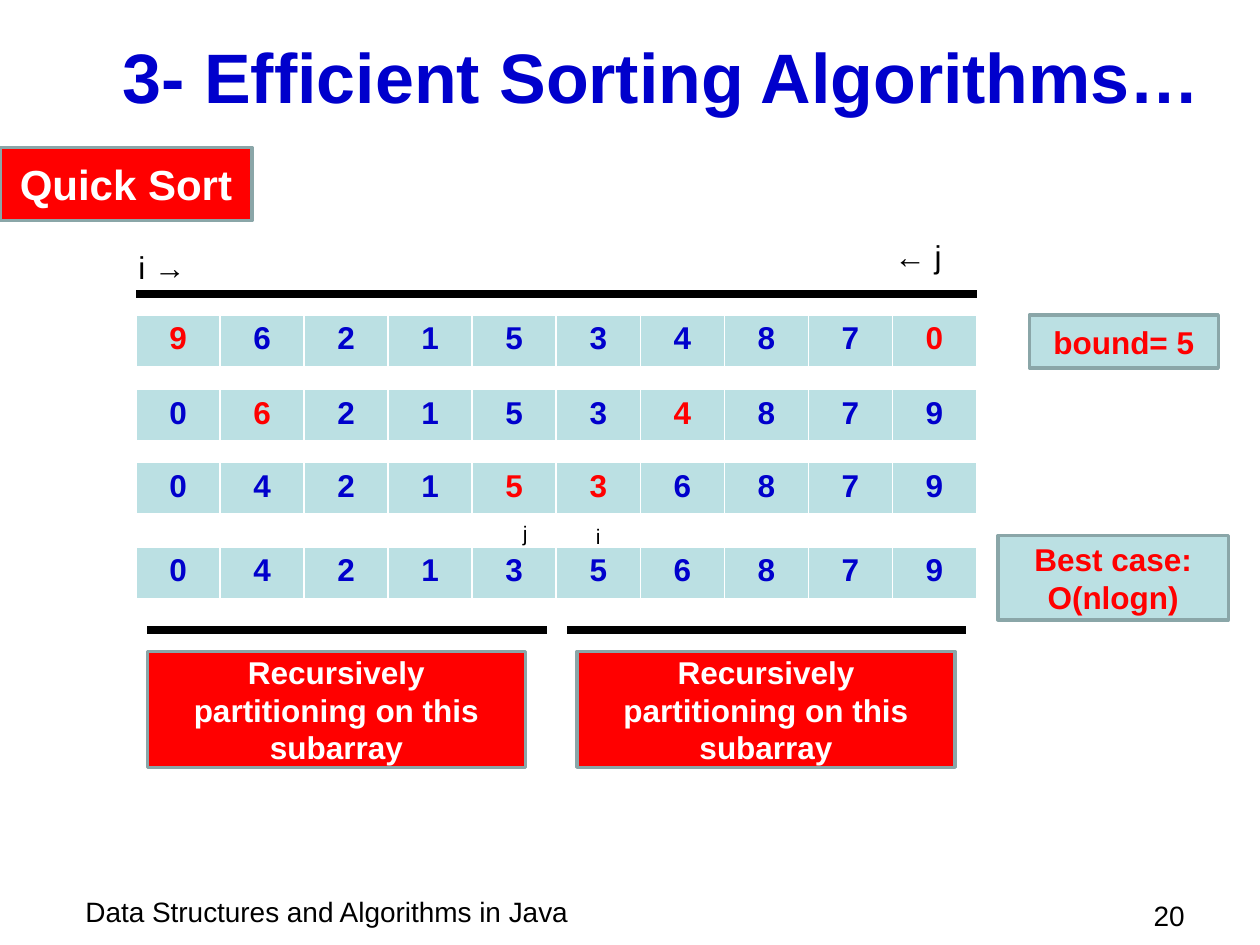
import pptx
import pptx.dml.color
import pptx.enum.shapes
import pptx.enum.text
import pptx.oxml.ns
import pptx.util
from lxml import etree
from pptx.util import Inches

ALIGN = pptx.enum.text.PP_ALIGN
ANCHOR = pptx.enum.text.MSO_ANCHOR

BLUE = "0000CC"
RED = "FF0000"
WHITE = "FFFFFF"
BLACK = "000000"
PALE_TEAL = "BBE0E3"
GREY_TEAL = "8AA6A8"

ARRAY_LEFT = 1.08
ARRAY_WIDTH = 6.67
ROW_HEIGHT = 0.41

# Top, values in the array, and indexes of the elements to swap next.
SORT_STEPS = [
    (2.5, "9621534870", (0, 9)),
    (3.09, "0621534879", (1, 6)),
    (3.67, "0421536879", (4, 5)),
    (4.34, "0421356879", ()),
]


def color(hex_string):
    return pptx.dml.color.RGBColor.from_string(hex_string)


def write_text(text_frame, text, size=18, hex_color=BLACK, bold=False,
               align=ALIGN.LEFT):
    paragraph = text_frame.paragraphs[0]
    paragraph.alignment = align
    run = paragraph.add_run()
    run.text = text
    run.font.name = "Arial"
    run.font.size = pptx.util.Pt(size)
    run.font.bold = bold
    run.font.color.rgb = color(hex_color)


def add_title(slide, text):
    title = slide.shapes.title
    title.left, title.top = Inches(0.5), Inches(0.25)
    title.width, title.height = Inches(9.5), Inches(0.7)
    title.text_frame.vertical_anchor = ANCHOR.MIDDLE
    title.text_frame.auto_size = pptx.enum.text.MSO_AUTO_SIZE.NONE
    write_text(title.text_frame, text, size=40, hex_color=BLUE, bold=True,
               align=ALIGN.CENTER)


def add_label(slide, text, left, top, width, height, indent=0.1, **text_format):
    label = slide.shapes.add_textbox(
        Inches(left), Inches(top), Inches(width), Inches(height))
    label.text_frame.word_wrap = True
    label.text_frame.margin_left = Inches(indent)
    write_text(label.text_frame, text, **text_format)


def add_box(slide, text, left, top, width, height, fill, hex_color, size=18):
    box = slide.shapes.add_shape(
        pptx.enum.shapes.MSO_SHAPE.RECTANGLE,
        Inches(left), Inches(top), Inches(width), Inches(height))
    box.shadow.inherit = False
    box.fill.solid()
    box.fill.fore_color.rgb = color(fill)
    box.line.color.rgb = color(GREY_TEAL)
    box.line.width = pptx.util.Pt(2)
    box.text_frame.word_wrap = True
    box.text_frame.vertical_anchor = ANCHOR.MIDDLE
    write_text(box.text_frame, text, size=size, hex_color=hex_color, bold=True,
               align=ALIGN.CENTER)


def add_bar(slide, left, right, y):
    bar = slide.shapes.add_connector(
        pptx.enum.shapes.MSO_CONNECTOR.STRAIGHT,
        Inches(left), Inches(y), Inches(right), Inches(y))
    bar.line.color.rgb = color(BLACK)
    bar.line.width = pptx.util.Pt(4.5)
    etree.SubElement(bar.element.spPr, pptx.oxml.ns.qn("a:effectLst"))


def add_array(slide, top, values, swapped):
    """Draw one state of the array, with the swapped elements in red."""
    table = slide.shapes.add_table(
        1, len(values), Inches(ARRAY_LEFT), Inches(top),
        Inches(ARRAY_WIDTH), Inches(ROW_HEIGHT)).table
    for index, value in enumerate(values):
        cell = table.cell(0, index)
        cell.fill.solid()
        cell.fill.fore_color.rgb = color(PALE_TEAL)
        write_text(cell.text_frame, value, bold=True, align=ALIGN.CENTER,
                   hex_color=RED if index in swapped else BLUE)


def main():
    presentation = pptx.Presentation()
    presentation.slide_width = Inches(10)
    presentation.slide_height = Inches(7.5)
    slide = presentation.slides.add_slide(presentation.slide_layouts[5])

    add_label(slide, "Data Structures and Algorithms in Java",
              0.58, 7.05, 5.67, 0.37, size=16)
    add_title(slide, "3- Efficient Sorting Algorithms…")
    add_label(slide, "20", 8.75, 7.08, 0.75, 0.33, size=16, align=ALIGN.RIGHT)
    add_box(slide, "Quick Sort", 0, 1.17, 2, 0.58, RED, WHITE, size=24)

    for top, values, swapped in SORT_STEPS:
        add_array(slide, top, values, swapped)
    add_box(slide, "bound= 5", 8.17, 2.5, 1.5, 0.42, PALE_TEAL, RED)
    add_box(slide, "Best case: O(nlogn)", 7.92, 4.25, 1.83, 0.67, PALE_TEAL, RED)

    add_bar(slide, ARRAY_LEFT, ARRAY_LEFT + ARRAY_WIDTH, 2.33)
    for bar_left, box_left in ((1.17, 1.17), (4.5, 4.58)):
        add_bar(slide, bar_left, bar_left + 3.17, 5)
        add_box(slide, "Recursively partitioning on this subarray",
                box_left, 5.17, 3, 0.92, RED, WHITE)

    add_label(slide, "i →", 1, 1.92, 0.58, 0.4)
    add_label(slide, "← j", 7, 1.83, 0.67, 0.4)
    add_label(slide, "j", 4, 4.08, 0.42, 0.3, indent=0.15, size=12)
    add_label(slide, "i", 4.58, 4.11, 0.42, 0.3, indent=0.15, size=12)

    presentation.save("out.pptx")


if __name__ == "__main__":
    main()
